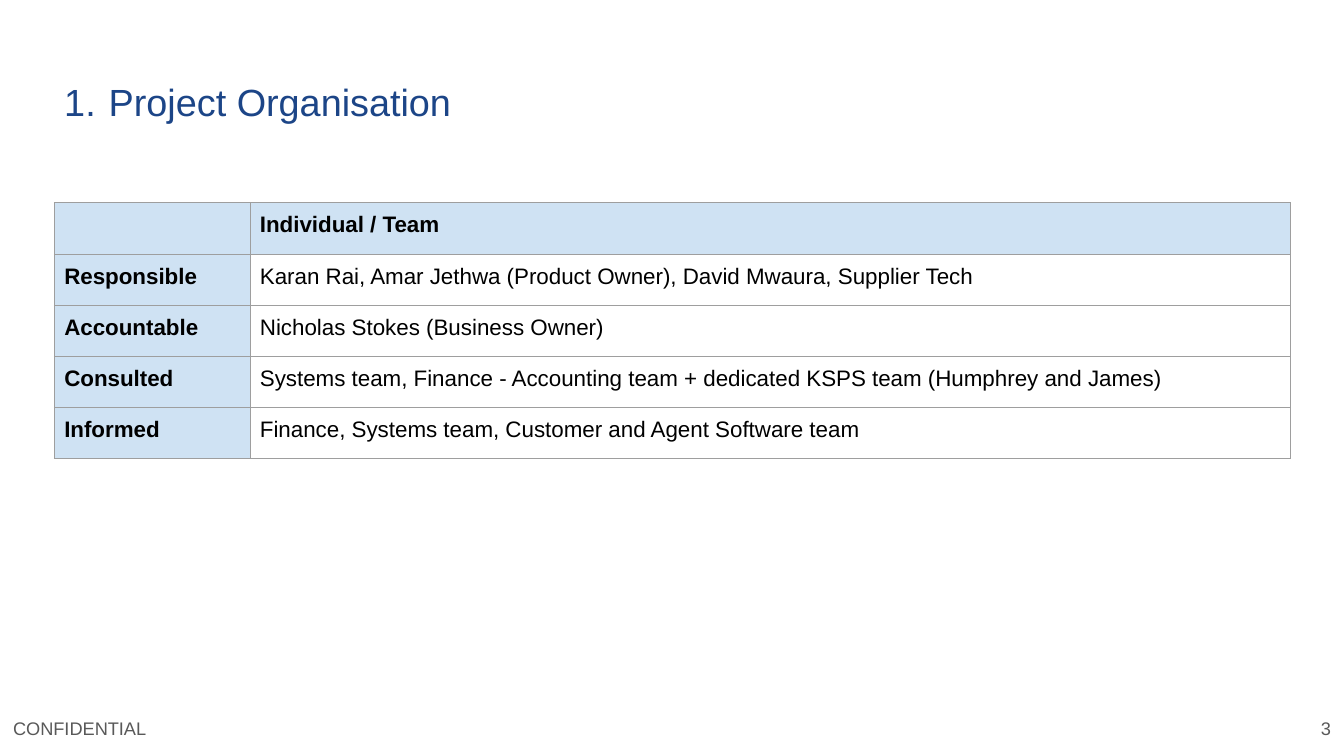
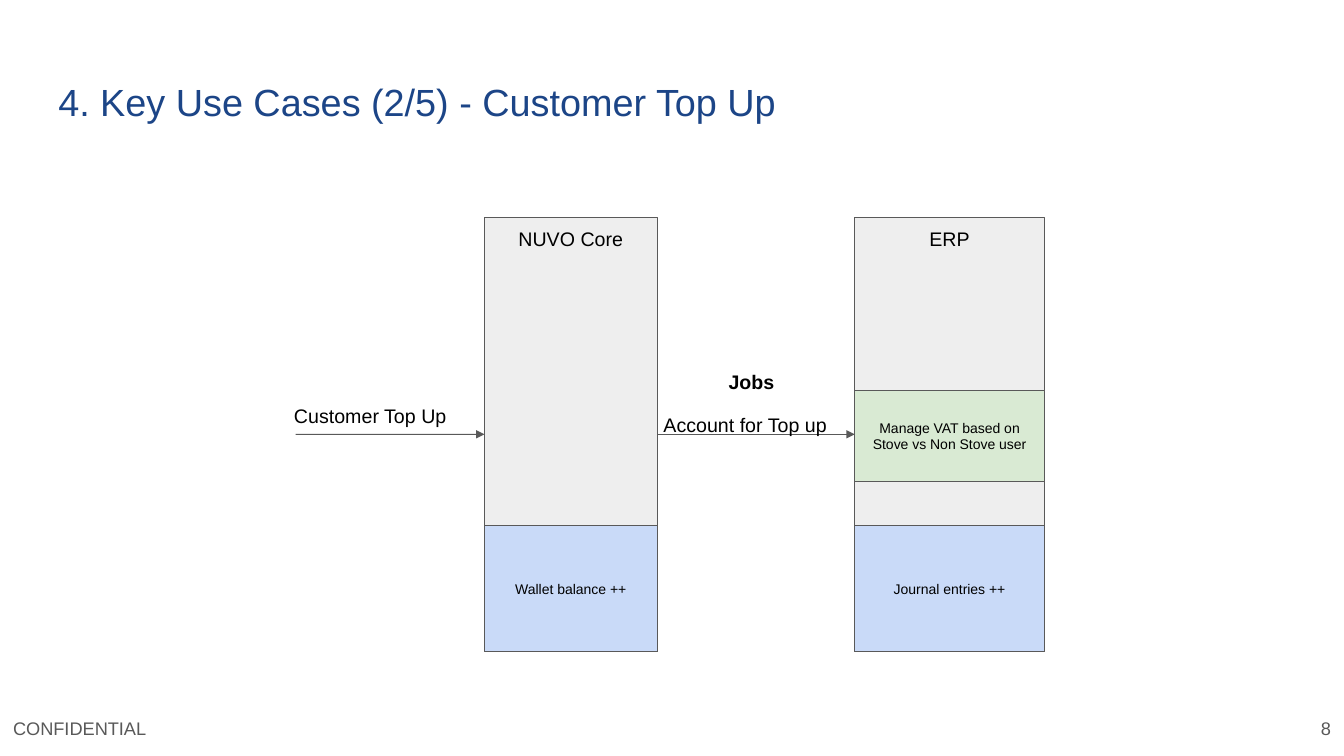
from lxml import etree
from pptx import Presentation, util as u
from pptx.dml.color import RGBColor
from pptx.enum import shapes, text
from pptx.oxml.ns import qn

LEFT, MID, RIGHT = text.PP_ALIGN.LEFT, text.PP_ALIGN.CENTER, text.PP_ALIGN.RIGHT
TOP, CENTRE = text.MSO_ANCHOR.TOP, text.MSO_ANCHOR.MIDDLE


def rgb(code):
    return RGBColor.from_string(code)


def add(parent, tag, **attrs):
    return etree.SubElement(parent, qn(tag), attrs)


class Deck:
    """Holds the shared style and the slide being drawn."""

    font = "Arial"
    navy, grey, black = "1C4587", "595959", "000000"
    head, edge = "CFE2F3", "9E9E9E"
    pale, blue, green = "EEEEEE", "C9DAF8", "D9EAD3"

    def __init__(self):
        self.prs = Presentation()
        self.prs.slide_width = u.Cm(33.87)
        self.prs.slide_height = u.Cm(19.05)

    def style(self, frame, size, color, bold=False, align=LEFT):
        for para in frame.paragraphs:
            para.alignment = align
            for run in para.runs:
                run.font.name = self.font
                run.font.size = u.Pt(size)
                run.font.bold = bold
                run.font.color.rgb = rgb(color)

    def fill(self, frame, words, size, color, pad, anchor, bold=False, align=LEFT):
        frame.text = words
        frame.word_wrap = True
        frame.vertical_anchor = anchor
        frame.margin_left = frame.margin_right = u.Cm(pad)
        frame.margin_top = frame.margin_bottom = u.Cm(pad)
        self.style(frame, size, color, bold, align)

    def label(self, words, x, y, w, h=1.09, size=14, color=black, pad=0.25,
              anchor=TOP, bold=False, align=LEFT):
        box = self.slide.shapes.add_textbox(*map(u.Cm, (x, y, w, h)))
        self.fill(box.text_frame, words, size, color, pad, anchor, bold, align)
        return box

    def page(self, title, num, auto=False):
        self.slide = self.prs.slides.add_slide(self.prs.slide_layouts[6])
        box = self.label(title, 1.14, 1.65, 31.55, 2.11, 27, self.navy, 0.33)
        if auto:
            props = box.text_frame.paragraphs[0]._p.get_or_add_pPr()
            props.set("marL", str(u.Cm(1.27)))
            props.set("indent", str(u.Cm(-1.12)))
            add(add(props, "a:buClr"), "a:srgbClr", val=self.navy)
            add(props, "a:buFont", typeface=self.font)
            add(props, "a:buAutoNum", type="arabicPeriod")
        for words, x, w, align in (("CONFIDENTIAL", 0, 4.78, LEFT),
                                   (str(num), 31.83, 2.04, RIGHT)):
            self.label(words, x, 17.62, w, 1.45, 13, self.grey, 0.33, CENTRE, align=align)

    def block(self, words, x, y, w, h, color, size=10, anchor=CENTRE):
        box = self.slide.shapes.add_shape(shapes.MSO_SHAPE.RECTANGLE,
                                          *map(u.Cm, (x, y, w, h)))
        box.shadow.inherit = False
        box.fill.solid()
        box.fill.fore_color.rgb = rgb(color)
        box.line.color.rgb = rgb(self.grey)
        box.line.width = u.Pt(0.75)
        self.fill(box.text_frame, words, size, self.black, 0.25, anchor, align=MID)
        return box

    def arrow(self, x, y, end, goal, start=None):
        line = self.slide.shapes.add_connector(shapes.MSO_CONNECTOR.STRAIGHT,
                                               *map(u.Cm, (x, y, end, y)))
        if start is not None:
            line.begin_connect(start, 3)
        line.end_connect(goal, 1)
        line.line.color.rgb = rgb(self.grey)
        line.line.width = u.Pt(0.75)
        add(line.line._get_or_add_ln(), "a:tailEnd", type="triangle")
        add(line._element.spPr, "a:effectLst")

    def border(self, cell):
        props = cell._tc.get_or_add_tcPr()
        for side in ("L", "R", "T", "B"):
            line = add(props, f"a:ln{side}", w=str(u.Pt(0.75)))
            add(add(line, "a:solidFill"), "a:srgbClr", val=self.edge)

    def table(self, rows, x, y, cols, high):
        grid = self.slide.shapes.add_table(
            len(rows), len(cols),
            *map(u.Cm, (x, y, sum(cols), high * len(rows)))).table
        grid.first_row = grid.horz_banding = False
        for col, wide in zip(grid.columns, cols):
            col.width = u.Cm(wide)
        for r, row in enumerate(rows):
            for c, words in enumerate(row):
                cell = grid.cell(r, c)
                lead = r == 0 or c == 0
                self.border(cell)
                if lead:
                    cell.fill.solid()
                    cell.fill.fore_color.rgb = rgb(self.head)
                else:
                    cell.fill.background()
                cell.margin_left = cell.margin_right = u.Cm(0.25)
                cell.margin_top = cell.margin_bottom = u.Cm(0.25)
                cell.text_frame.text = words
                self.style(cell.text_frame, 16, self.black, lead)


def roles(deck):
    deck.page("Project Organisation", 3, auto=True)
    deck.table([
        ("", "Individual / Team"),
        ("Responsible", "Karan Rai, Amar Jethwa (Product Owner), David Mwaura, Supplier Tech"),
        ("Accountable", "Nicholas Stokes (Business Owner)"),
        ("Consulted", "Systems team, Finance - Accounting team + dedicated KSPS team "
                      "(Humphrey and James)"),
        ("Informed", "Finance, Systems team, Customer and Agent Software team"),
    ], 1.37, 5.11, (4.93, 26.21), 1.29)


def top_up(deck):
    deck.page("4. Key Use Cases (2/5) - Customer Top Up", 8)
    top, high, foot = 5.47, 10.95, 3.17
    mid, low = top + high / 2, top + high - foot
    lanes = []
    for name, note, x, w in (("NUVO Core", "Wallet balance ++", 12.21, 4.35),
                             ("ERP", "Journal entries ++", 21.54, 4.78)):
        lanes.append(deck.block(name, x, top, w, high, deck.pale, 14, TOP))
        deck.block(note, x, low, w, foot, deck.blue)
    core, books = lanes
    deck.block("Manage VAT based on\nStove vs Non Stove user", 21.54, 9.84, 4.78, 2.29,
               deck.green)
    deck.arrow(7.45, mid, 12.21, core)
    deck.arrow(16.56, mid, 21.54, books, core)
    deck.label("Customer Top Up", 7.16, 9.94, 4.78)
    deck.label("Account for Top up", 16.47, 10.15, 4.78)
    deck.label("Jobs", 18.11, 9.06, 1.78, bold=True)


def main():
    deck = Deck()
    roles(deck)
    top_up(deck)
    deck.prs.save("out.pptx")


if __name__ == "__main__":
    main()
